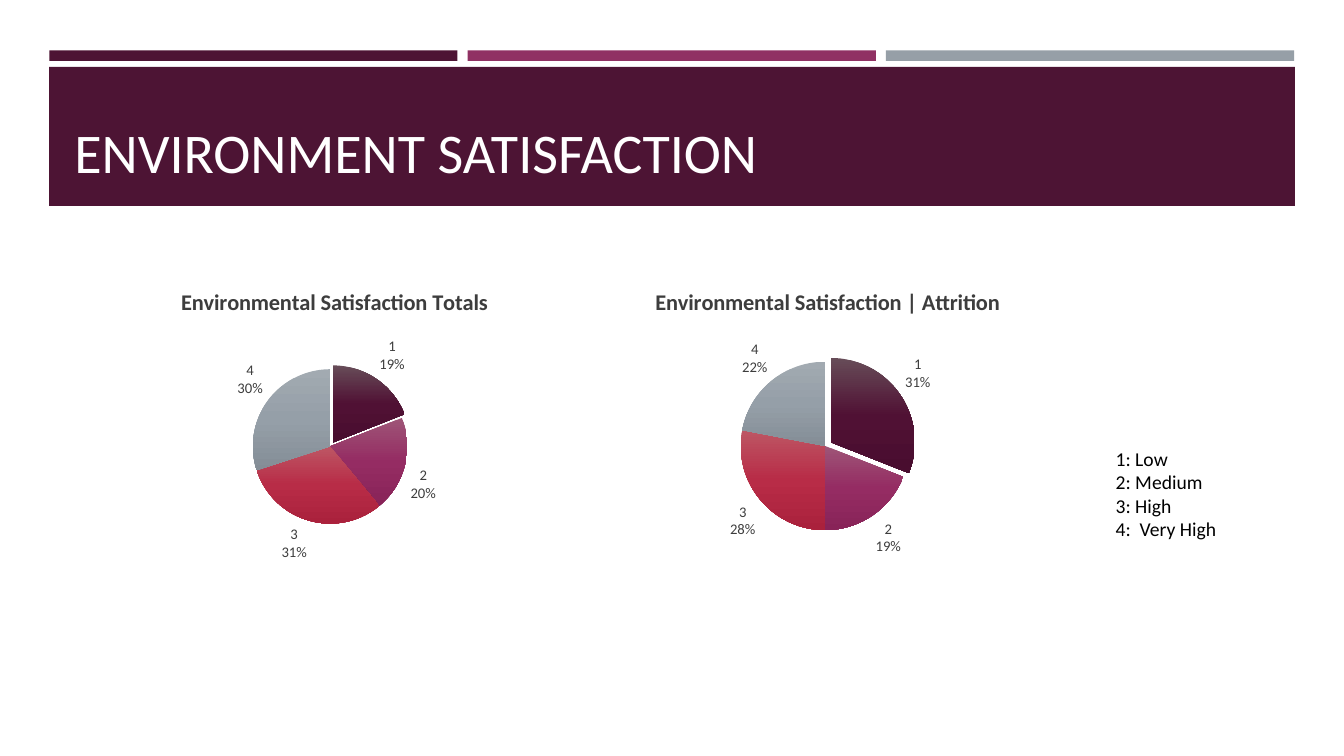
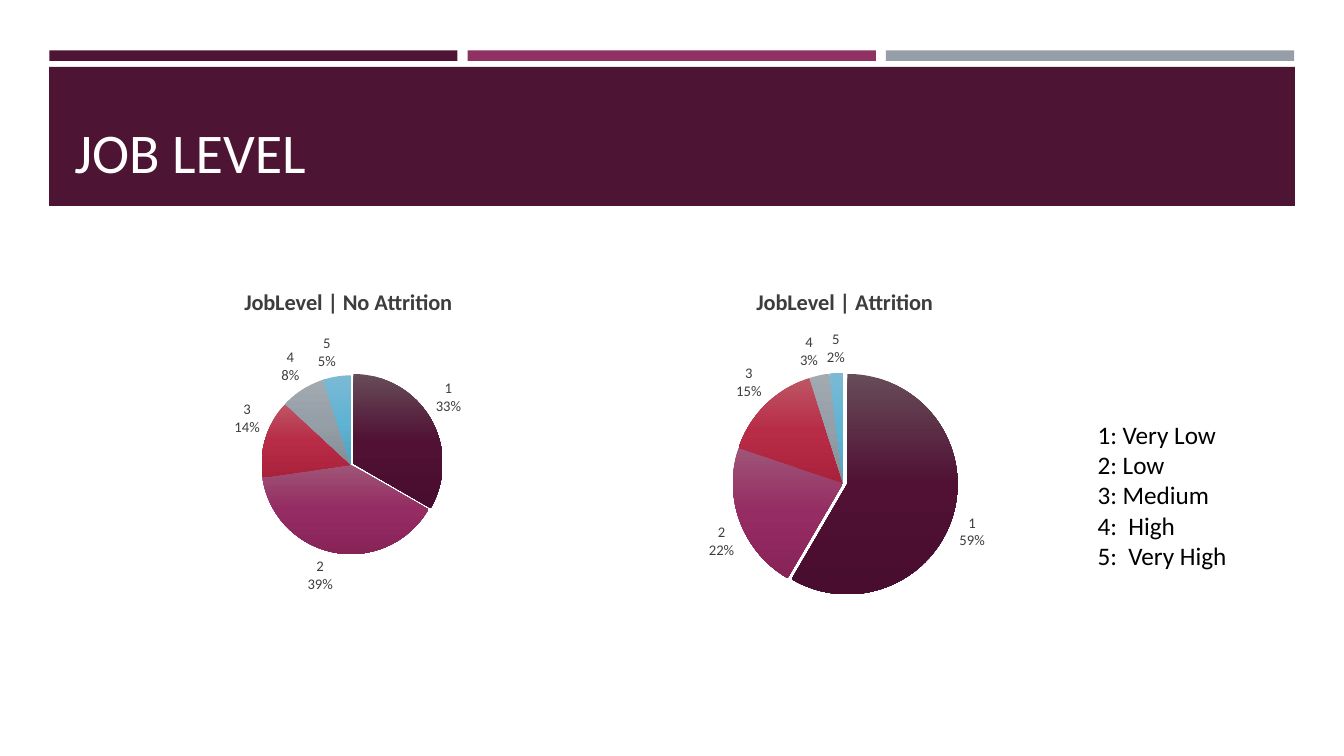
import copy
from dataclasses import dataclass

import pptx
import pptx.chart.data
import pptx.dml.color
import pptx.enum.chart
import pptx.enum.shapes
import pptx.enum.text
import pptx.oxml
import pptx.oxml.ns
import pptx.util

Pt = pptx.util.Pt
qn = pptx.oxml.ns.qn


def rgb(value):
    return pptx.dml.color.RGBColor.from_string(value)


@dataclass(frozen=True)
class Theme:
    font: str = "Calibri"
    plum: str = "4D1434"
    white: str = "FFFFFF"
    black: str = "000000"
    label: str = "3D3D3D"
    bars: tuple = ("4D1434", "903163", "969FA7")
    # Top, middle and bottom colour of each slice
    slices: tuple = (
        ("674C58", "501134", "490D2F"),
        ("9E5577", "952C63", "882358"),
        ("BD5664", "B82C47", "AA213C"),
        ("A2AAB1", "959FA8", "848D96"),
        ("7ABAD4", "61B3D3", "50A2C2"),
    )
    title_size: float = 40
    chart_title_size: float = 16
    label_size: float = 10.5


class Deck:
    def __init__(self, theme):
        self.theme = theme
        self.prs = pptx.Presentation()
        self.prs.slide_width = Pt(960)
        self.prs.slide_height = Pt(540)
        self.s = None

    def style(self, font, size, color, bold=False):
        font.name = self.theme.font
        font.size = Pt(size)
        font.bold = bold
        font.color.rgb = rgb(color)

    def rect(self, x, y, w, h, color):
        sp = self.s.shapes.add_shape(
            pptx.enum.shapes.MSO_SHAPE.RECTANGLE, Pt(x), Pt(y), Pt(w), Pt(h))
        sp.shadow.inherit = False
        sp.fill.solid()
        sp.fill.fore_color.rgb = rgb(color)
        sp.line.fill.background()

    def text(self, x, y, w, h, lines, size, color, anchor="TOP"):
        tf = self.s.shapes.add_textbox(Pt(x), Pt(y), Pt(w), Pt(h)).text_frame
        tf.word_wrap = True
        tf.vertical_anchor = getattr(pptx.enum.text.MSO_ANCHOR, anchor)
        for i, line in enumerate(lines):
            p = tf.paragraphs[0] if i == 0 else tf.add_paragraph()
            r = p.add_run()
            r.text = line
            self.style(r.font, size, color)

    def slide(self, title):
        """Start a slide with the three bars and the title band."""
        self.s = self.prs.slides.add_slide(self.prs.slide_layouts[6])
        for i, color in enumerate(self.theme.bars):
            self.rect(35.2 + 298.8 * i, 36, 291.6, 7.6, color)
        self.rect(35.2, 47.7, 889.8, 99.3, self.theme.plum)
        self.text(46, 57.6, 868, 77.8, [title], self.theme.title_size,
                  self.theme.white, "BOTTOM")

    def pie(self, box, title, values, center, radius, explosion):
        """Add a pie; center and radius are slide points, explosion a percentage."""
        x, y, w, h = box
        data = pptx.chart.data.CategoryChartData()
        data.categories = [str(i + 1) for i in range(len(values))]
        data.add_series("Series 1", values)
        chart = self.s.shapes.add_chart(
            pptx.enum.chart.XL_CHART_TYPE.PIE,
            Pt(x), Pt(y), Pt(w), Pt(h), data).chart
        self.style(chart.font, 10, self.theme.black)
        chart.has_legend = False

        # Title
        chart.has_title = True
        r = chart.chart_title.text_frame.paragraphs[0].add_run()
        r.text = title
        self.style(r.font, self.theme.chart_title_size, self.theme.label, True)
        chart.chart_title.include_in_layout = False

        # Slices
        plot = chart.plots[0]
        plot.vary_by_categories = True
        ser = plot.series[0]
        for i in range(len(values)):
            self.gradient(ser, i)
        pull = pptx.oxml.parse_xml(
            f'<c:explosion {pptx.oxml.ns.nsdecls("c")} val="{explosion}"/>')
        ser._element.find(qn("c:dPt")).find(qn("c:spPr")).addprevious(pull)

        # Labels
        plot.has_data_labels = True
        labels = plot.data_labels
        labels.show_category_name = True
        labels.show_value = True
        labels.show_percentage = False
        labels.number_format = '0"%"'
        labels.number_format_is_linked = False
        labels.position = pptx.enum.chart.XL_LABEL_POSITION.OUTSIDE_END
        self.style(labels.font, self.theme.label_size, self.theme.label)
        separator = pptx.oxml.parse_xml(
            f'<c:separator {pptx.oxml.ns.nsdecls("c")}>\n</c:separator>')
        labels._element.find(qn("c:showBubbleSize")).addnext(separator)

        # Plot area
        reach = radius * (1 + explosion / 100)
        sizes = {"x": (center[0] - reach - x) / w,
                 "y": (center[1] - reach - y) / h,
                 "w": 2 * reach / w, "h": 2 * reach / h}
        parts = "".join(f'<c:{k}Mode val="edge"/>' for k in "xy")
        parts += "".join(f'<c:{k} val="{v:.4f}"/>' for k, v in sizes.items())
        layout = pptx.oxml.parse_xml(
            f'<c:layout {pptx.oxml.ns.nsdecls("c")}><c:manualLayout>'
            f'<c:layoutTarget val="inner"/>{parts}</c:manualLayout></c:layout>')
        area = chart._chartSpace.chart.plotArea
        for old in area.findall(qn("c:layout")):
            area.remove(old)
        area.insert(0, layout)

    def gradient(self, ser, i):
        fill = ser.points[i].format.fill
        fill.gradient()
        fill.gradient_angle = 270
        stops = ser._element.findall(".//" + qn("a:gsLst"))[-1]
        stops.append(copy.deepcopy(stops[-1]))
        for k, color in enumerate(self.theme.slices[i]):
            stop = fill.gradient_stops[k]
            stop.color.rgb = rgb(color)
            stop.position = k / 2


def main():
    theme = Theme()
    deck = Deck(theme)

    # Environment satisfaction
    deck.slide("ENVIRONMENT SATISFACTION")
    deck.text(789.8, 315.4, 98, 75,
              ["1: Low", "2: Medium", "3: High", "4:  Very High"],
              14, theme.black)
    deck.pie((46, 193.7, 386, 216), "Environmental Satisfaction Totals",
             (19, 20, 31, 30), (235.8, 318.9), 52, 6)
    deck.pie((409, 193.7, 364.3, 216), "Environmental Satisfaction | Attrition",
             (31, 19, 28, 22), (589.3, 318.6), 55.7, 8)

    # Job level
    deck.slide("JOB LEVEL")
    deck.text(776.9, 295.9, 122.4, 138,
              ["1: Very Low", "2: Low", "3: Medium", "4:  High", "5:  Very High"],
              18, theme.black)
    deck.pie((413.3, 193, 380.2, 241.2), "JobLevel | Attrition",
             (59, 22, 15, 3, 2), (602.3, 345), 75.7, 4)
    deck.pie((54.7, 193, 388.1, 241.2), "JobLevel | No Attrition",
             (33, 39, 14, 8, 5), (250.7, 332), 62, 3)

    deck.prs.save("out.pptx")


if __name__ == "__main__":
    main()
